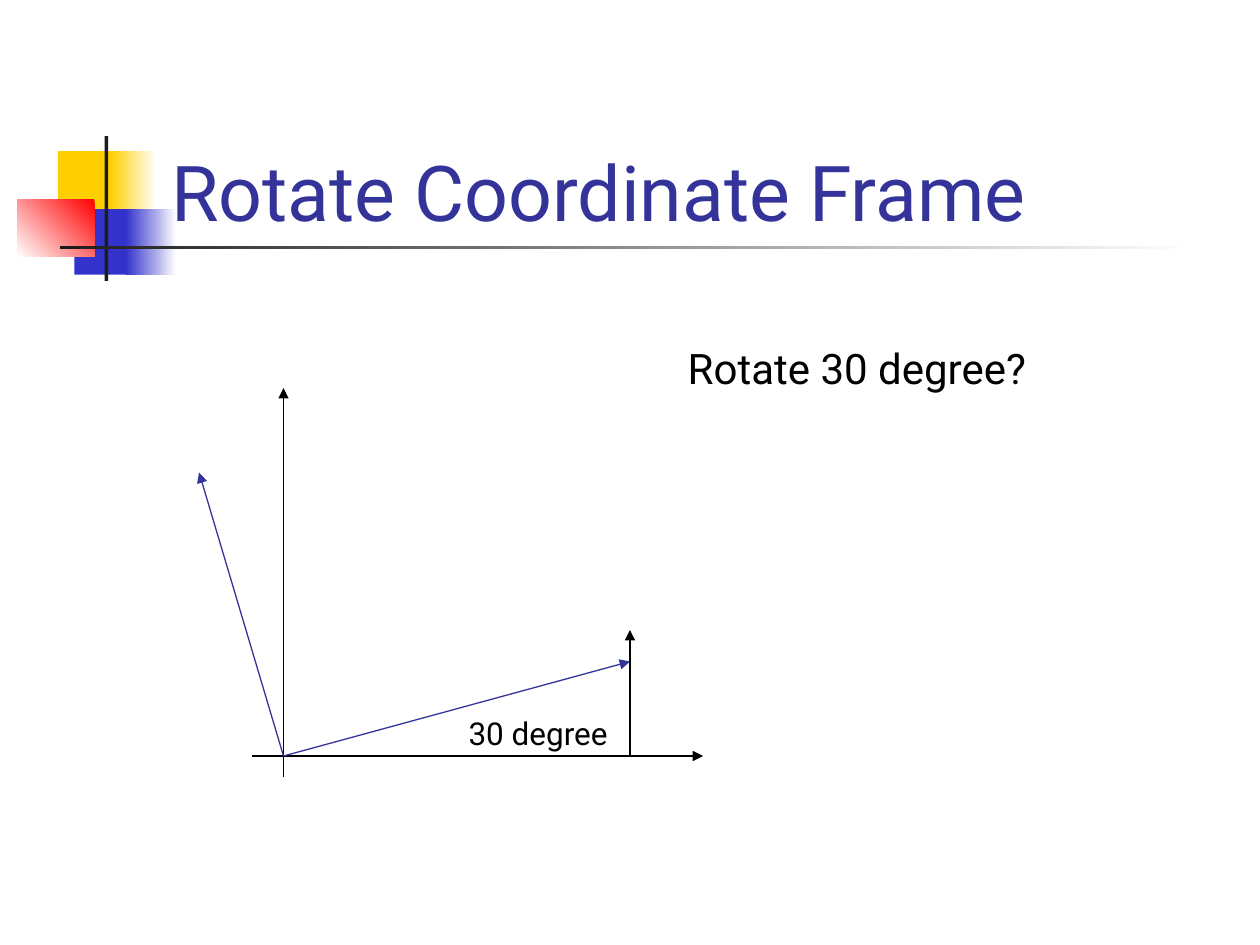
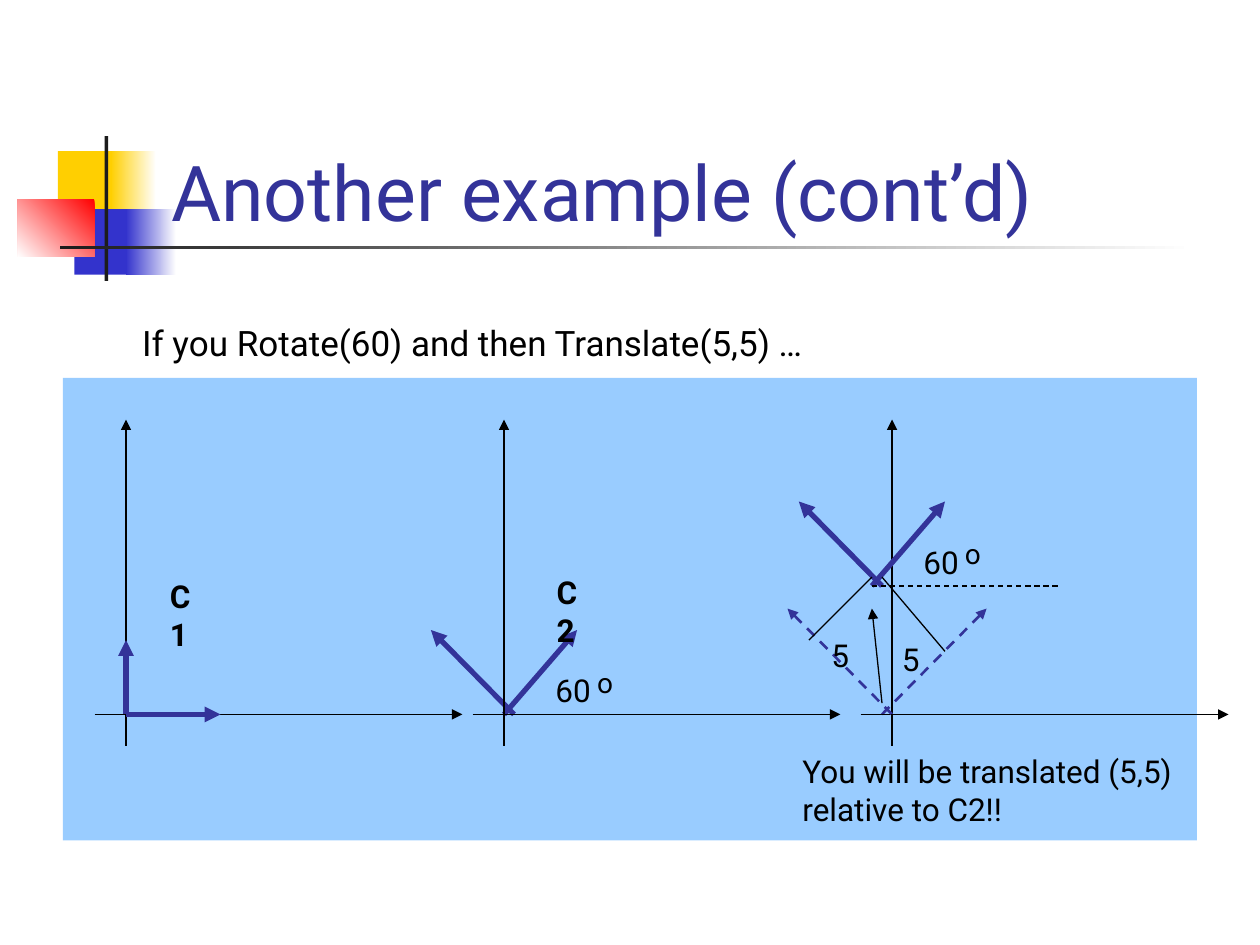
from lxml import etree
from pptx import Presentation
from pptx.dml.color import RGBColor
from pptx.enum.dml import MSO_LINE
from pptx.enum.shapes import MSO_CONNECTOR, MSO_SHAPE
from pptx.enum.text import MSO_ANCHOR, MSO_AUTO_SIZE
from pptx.oxml.ns import qn
from pptx.util import Inches, Pt

RECT = MSO_SHAPE.RECTANGLE
STRAIGHT = MSO_CONNECTOR.STRAIGHT
DASH = MSO_LINE.DASH
BOTTOM = MSO_ANCHOR.BOTTOM
TOP = MSO_ANCHOR.TOP
GROW = MSO_AUTO_SIZE.SHAPE_TO_FIT_TEXT
FIXED = MSO_AUTO_SIZE.NONE

FONT = "Roboto"
COLORS = {
    "white": "FFFFFF", "black": "000000", "title": "333399", "axis": "333399",
    "yellow": "FFCF01", "blue": "3333CC", "red": "FF0000", "bar": "1C1C1C",
    "panel": "99CCFF",
}


def rgb(name):
    return RGBColor.from_string(COLORS[name])


def bezier(p0, p1, p2, p3, steps=12):
    """Points of a cubic curve, without its first point."""
    points = []
    for i in range(1, steps + 1):
        t = i / steps
        u = 1 - t
        points.append(tuple(
            u**3 * a + 3 * u * u * t * b + 3 * u * t * t * c + t**3 * d
            for a, b, c, d in zip(p0, p1, p2, p3)))
    return points


class Deck:
    def __init__(self):
        self.prs = Presentation()
        self.prs.slide_width = Inches(10)
        self.prs.slide_height = Inches(7.5)
        self.s = None

    def slide(self, title):
        self.s = self.prs.slides.add_slide(self.prs.slide_layouts[6])
        self.rect(0.46, 1.2, 0.48, 0.52, "yellow")
        self.rect(0.88, 1.2, 0.36, 0.52, "white", "yellow")
        self.rect(0.59, 1.66, 0.46, 0.52, "blue")
        self.rect(1, 1.66, 0.4, 0.52, "white", "blue")
        self.rect(0.14, 1.58, 0.61, 0.46, "red", "white", angle=225)
        self.rect(0.83, 1.08, 0.03, 1.15, "bar")
        self.rect(0.48, 1.95, 9, 0.03, "white", "bar")
        return title

    def title(self, text):
        self.text(text, 1.26, 0.68, 8.52, 1.25, size=44, color="title",
                  wrap=True, anchor=BOTTOM, fit=FIXED)

    def rect(self, x, y, w, h, color, end=None, angle=180):
        """Plain rectangle; with an end colour it is a gradient."""
        sp = self.s.shapes.add_shape(RECT, Inches(x), Inches(y), Inches(w), Inches(h))
        sp.shadow.inherit = False
        sp.line.fill.background()
        if end is None:
            sp.fill.solid()
            sp.fill.fore_color.rgb = rgb(color)
            return
        sp.fill.gradient()
        sp.fill.gradient_angle = angle
        for stop, name in zip(sp.fill.gradient_stops, (color, end)):
            stop.color.rgb = rgb(name)

    def text(self, text, x, y, w, h=0.4, size=18, color="black", bold=False,
             wrap=False, anchor=TOP, fit=GROW):
        sp = self.s.shapes.add_textbox(Inches(x), Inches(y), Inches(w), Inches(h))
        tf = sp.text_frame
        frame = {"word_wrap": wrap, "vertical_anchor": anchor, "auto_size": fit}
        for name, value in frame.items():
            setattr(tf, name, value)
        tf.text = text
        for p in tf.paragraphs:
            for r in p.runs:
                for name, value in {"name": FONT, "size": Pt(size), "bold": bold}.items():
                    setattr(r.font, name, value)
                r.font.color.rgb = rgb(color)

    def stroke(self, sp, color="black", width=0.75, dash=None, arrow=True):
        sp.line.color.rgb = rgb(color)
        sp.line.width = Pt(width)
        if dash:
            sp.line.dash_style = dash
        if arrow:
            ln = sp.line._get_or_add_ln()
            etree.SubElement(ln, qn("a:tailEnd"), type="triangle")

    def line(self, start, end, **style):
        sp = self.s.shapes.add_connector(STRAIGHT, *(Inches(v) for v in (*start, *end)))
        etree.SubElement(sp._element.spPr, qn("a:effectLst"))
        self.stroke(sp, **style)

    def curve(self, start, points):
        builder = self.s.shapes.build_freeform(*start, scale=Inches(1))
        builder.add_line_segments(points, close=False)
        sp = builder.convert_to_shape()
        sp.shadow.inherit = False
        sp.fill.background()
        self.stroke(sp)

    def axes(self, left, right, x, base, bottom, top):
        self.line((left, base), (right, base))
        self.line((x, bottom), (x, top))

    def rotated_frame(self, x, y):
        """Frame turned by 60 degrees, with its dashed base line and label."""
        arrow = {"color": "axis", "width": 3}
        self.line((x, y), (x + 0.58, y - 0.67), **arrow)
        self.line((x + 0.08, y), (x - 0.58, y - 0.67), **arrow)
        self.line((x, y), (x + 1.5, y), dash=DASH, arrow=False)
        self.text("60", x + 0.31, y - 0.39, 0.48)
        self.text("o", x + 0.64, y - 0.44, 0.33, 0.37, size=16)


def rotate_slide(deck):
    deck.title(deck.slide("Rotate Coordinate Frame"))
    deck.axes(2, 5.58, 2.25, 6, 6.17, 3.08)
    deck.text("Rotate 30 degree?", 5.36, 2.67, 3.12, 0.5, size=24)
    for tip in ((5, 5.25), (1.58, 3.75)):
        deck.line((2.25, 6), tip, color="axis")
    deck.text("30 degree", 3.62, 5.62, 1.38)
    start, middle, end = (5.17, 5.92), (5.33, 5.67), (5.17, 5.33)
    deck.curve(start, bezier(start, (5.25, 5.84), (5.33, 5.76), middle)
               + bezier(middle, (5.33, 5.57), (5.19, 5.39), end))


def example_slide(deck):
    base = 5.67
    title = deck.slide("Another example (cont’d)")
    deck.rect(0.5, 3, 9, 3.67, "panel")
    deck.title(title)
    deck.text("If you Rotate(60) and then Translate(5,5) …", 1.03, 2.5, 5.74, 0.44, size=20)

    deck.rotated_frame(4, base)
    for x in (1, 4, 7.08):
        deck.axes(x - 0.25, x + 2.67, x, base, 5.92, 3.33)

    for start, tip in ((7, 7.83), (7.08, 6.25)):
        deck.line((start, base), (tip, 4.83), color="axis", width=1.5, dash=DASH)
    deck.line((7, base), (8.5, base), dash=DASH, arrow=False)
    deck.rotated_frame(6.92, 4.65)
    deck.line((7, 4.58), (7.5, 5.17), arrow=False)
    deck.line((6.92, 4.58), (6.42, 5.08), arrow=False)
    for x, y in ((7.06, 5.03), (6.5, 5)):
        deck.text("5", x, y, 0.34, wrap=True)

    for tip in ((1.75, base), (1, 5.08)):
        deck.line((1, base), tip, color="axis", width=3)
    for label, x, y in (("C1", 1.25, 4.53), ("C2", 4.32, 4.5)):
        deck.text(label, x, y, 0.5, bold=True, wrap=True)
    deck.text("You will be translated (5,5)\nrelative to C2!!", 6.27, 5.92, 3.29, 0.7)
    deck.line((7, 5.58), (6.92, 4.83))


def main():
    deck = Deck()
    rotate_slide(deck)
    example_slide(deck)
    deck.prs.save("out.pptx")


if __name__ == "__main__":
    main()
